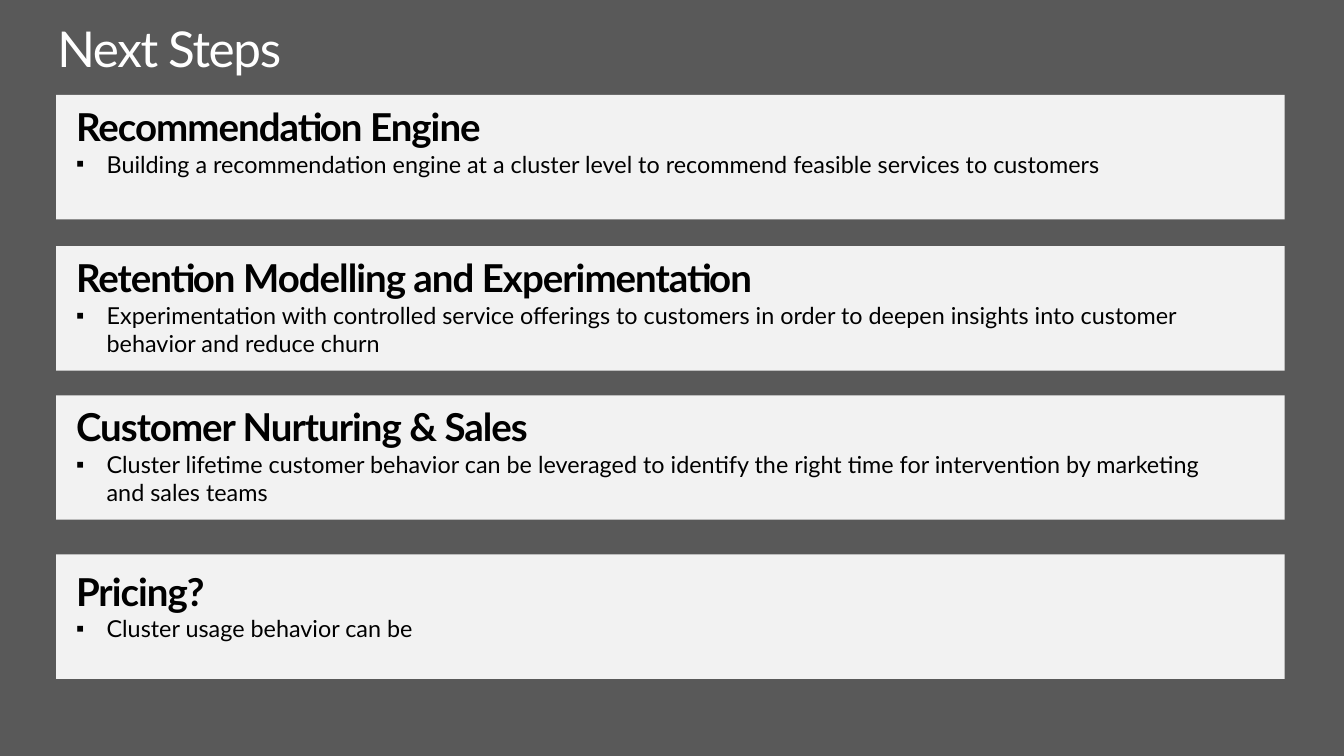
import pptx
import pptx.dml.color
import pptx.enum.shapes
import pptx.enum.text
import pptx.util
import lxml.etree

Pt = pptx.util.Pt
ALIGN = pptx.enum.text.PP_ALIGN
ANCHOR = pptx.enum.text.MSO_ANCHOR
COMPARISON_LAYOUT = 3 + 1
CARD_LEFT, CARD_WIDTH, CARD_HEIGHT = 41, 895, 90.7
TEXT_LEFT, TEXT_WIDTH = 55.4, 838

STEPS = [
    (69.1, 10.2, "Recommendation Engine",
     "Building a recommendation engine at a cluster level to recommend feasible services to customers"),
    (179.3, 0, "Retention Modelling and Experimentation",
     "Experimentation with controlled service offerings to customers in order to deepen insights "
     "into customer behavior and reduce churn"),
    (288, 0, "Customer Nurturing & Sales",
     "Cluster lifetime customer behavior can be leveraged to identify the right time for "
     "intervention by marketing and sales teams"),
    (403.9, 6.5, "Pricing?", "Cluster usage behavior can be"),
]


def color(value):
    return pptx.dml.color.RGBColor.from_string(value)


class StepsSlide:
    """Holds the style and the current slide, and draws its elements."""

    font_name = "Lato"
    background = "595959"
    card_fill = "F2F2F2"
    title_color = "FFFFFF"
    text_color = "000000"

    def __init__(self, presentation):
        layout = presentation.slide_layouts[COMPARISON_LAYOUT]
        self.slide = presentation.slides.add_slide(layout)
        fill = self.slide.background.fill
        fill.solid()
        fill.fore_color.rgb = color(self.background)

    def place(self, shape, left, top, width, height):
        shape.left, shape.top = Pt(left), Pt(top)
        shape.width, shape.height = Pt(width), Pt(height)
        frame = shape.text_frame
        frame.word_wrap = True
        frame.auto_size = pptx.enum.text.MSO_AUTO_SIZE.NONE
        frame.vertical_anchor = ANCHOR.MIDDLE
        frame.margin_left = frame.margin_right = 0
        frame.margin_top = frame.margin_bottom = 0

    def format(self, paragraph, size, text_color, bold=False, line=1.0, tracking=0):
        paragraph.alignment = ALIGN.LEFT
        paragraph.line_spacing = line
        paragraph.space_before = paragraph.space_after = Pt(0)
        for run in paragraph.runs:
            run.font.name = self.font_name
            run.font.size = Pt(size)
            run.font.bold = bold
            run.font.color.rgb = color(text_color)
            run.font._element.set("spc", str(tracking))

    def bullet(self, paragraph, character=None, indent=0):
        properties = paragraph._p.get_or_add_pPr()
        properties.set("marL", str(Pt(indent)))
        properties.set("indent", str(-Pt(indent)))
        tag = "a:buChar" if character else "a:buNone"
        element = lxml.etree.SubElement(properties, pptx.oxml.ns.qn(tag))
        if character:
            element.set("char", character)

    def title(self, text):
        shape = self.slide.shapes.title
        self.place(shape, 41.8, 18, 895.7, 39.6)
        shape.text_frame.text = text
        self.format(shape.text_frame.paragraphs[0], 36, self.title_color, line=0.9, tracking=-100)

    def card(self, top):
        shape = self.slide.shapes.add_shape(
            pptx.enum.shapes.MSO_SHAPE.RECTANGLE,
            Pt(CARD_LEFT), Pt(top), Pt(CARD_WIDTH), Pt(CARD_HEIGHT))
        shape.shadow.inherit = False
        shape.fill.solid()
        shape.fill.fore_color.rgb = color(self.card_fill)
        shape.line.fill.background()
        return shape

    def step(self, placeholder, top, lift, heading, detail):
        card = self.card(top)
        self.place(placeholder, TEXT_LEFT, top - lift, TEXT_WIDTH, CARD_HEIGHT)
        card.element.addnext(placeholder.element)
        frame = placeholder.text_frame
        frame.text = heading
        self.bullet(frame.paragraphs[0])
        self.format(frame.paragraphs[0], 28, self.text_color, bold=True, line=0.9, tracking=-70)
        paragraph = frame.add_paragraph()
        paragraph.text = detail
        self.bullet(paragraph, "▪", 22.3)
        self.format(paragraph, 17, self.text_color)


def main():
    presentation = pptx.Presentation()
    presentation.slide_width, presentation.slide_height = Pt(979.2), Pt(550.8)
    steps_slide = StepsSlide(presentation)
    steps_slide.title("Next Steps")
    bodies = [shape for shape in steps_slide.slide.placeholders
              if shape.placeholder_format.idx in range(1, 5)]
    for body, step in zip(bodies, STEPS):
        steps_slide.step(body, *step)
    presentation.save("out.pptx")


if __name__ == "__main__":
    main()
